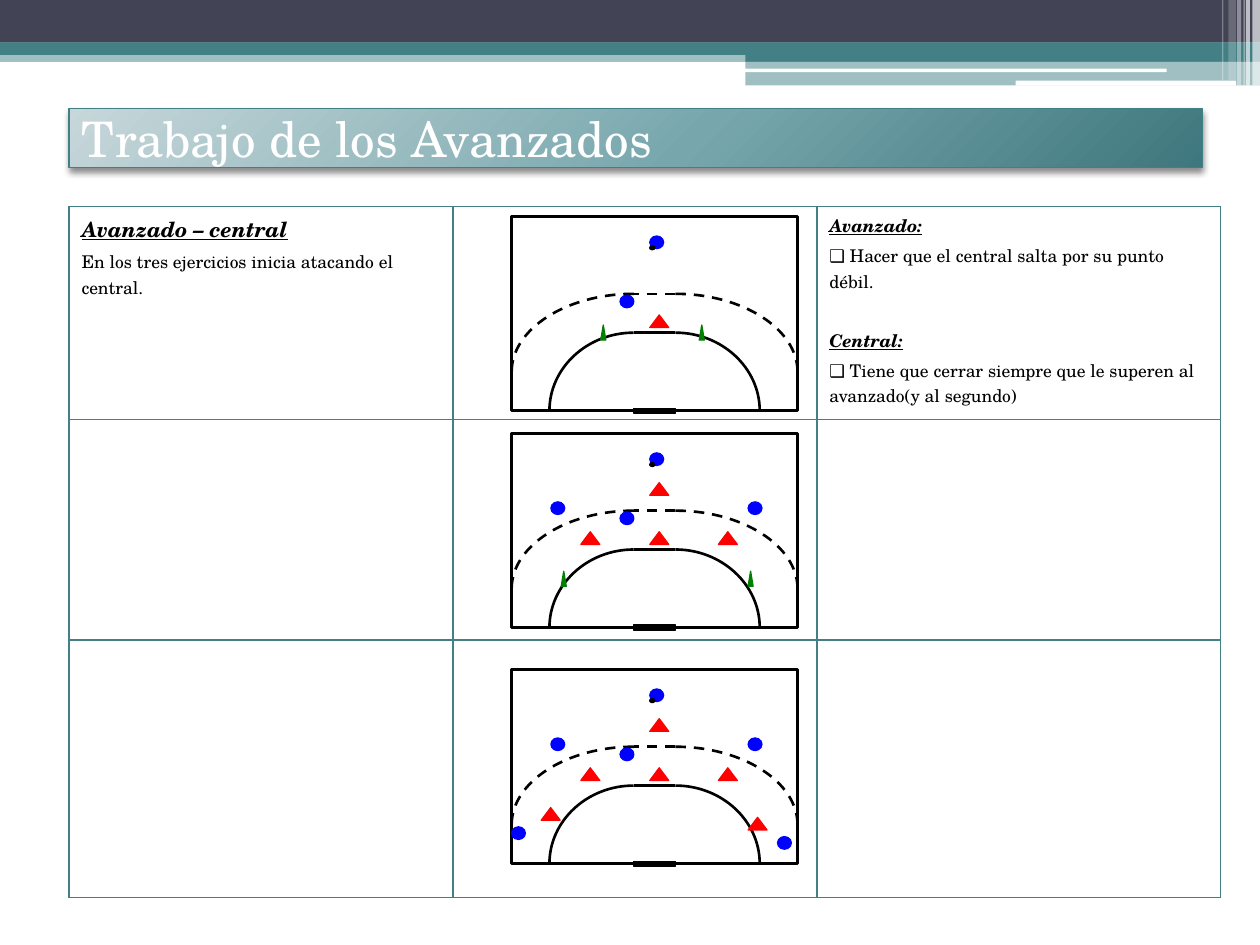
from lxml.etree import SubElement
from pptx import Presentation
from pptx.dml.color import RGBColor
from pptx.enum.dml import MSO_LINE
from pptx.enum.shapes import MSO_CONNECTOR, MSO_SHAPE
from pptx.enum.text import MSO_ANCHOR, MSO_AUTO_SIZE, PP_ALIGN
from pptx.oxml import parse_xml
from pptx.oxml.ns import nsdecls, qn
from pptx.util import Pt

FONT = "TeX Gyre Schola"
COLORS = {
    "navy": "424456", "teal": "438086", "white": "FFFFFF", "black": "000000",
    "attacker": "0000FF", "defender": "FF0000", "cone": "008000",
    "grad_light": "C7D7DA", "grad_mid": "77A7AD", "grad_dark": "3E777D",
}

# left, top, width, height, colour, opacity in percent
BANDS = [
    (0, 28.8, 720, 6.6, "teal", 50), (0, 0, 720, 24.4, "navy", 100),
    (0, 24.2, 720, 7.2, "teal", 100), (426, 28, 294, 7.2, "teal", 100),
    (426, 34.8, 294, 14, "teal", 50),
]
RULES = [(425.5, 39.2, 241.2, 2), (580.3, 46.1, 126, 2.9)]
STRIPES = [  # left, width, height, opacity
    (715.7, 4.3, 49, 65), (712, 2.2, 49, 65), (710.6, 0.7, 49, 60),
    (707, 2.2, 49, 40), (702, 4.3, 46, 20), (698.4, 0.7, 46, 30),
]

MARKERS = {  # preset, width, height
    "attacker": (MSO_SHAPE.OVAL, 7.9, 7.2),
    "defender": (MSO_SHAPE.ISOSCELES_TRIANGLE, 10.8, 7.2),
    "cone": (MSO_SHAPE.ISOSCELES_TRIANGLE, 2.9, 8.6),
    "black": (MSO_SHAPE.OVAL, 2.9, 2.2),  # the ball
}
COURT_LEFT, COURT_W, COURT_H = 292.3, 163.4, 111
ARC_X = (69.9, 93.7)  # where the straight part of both area lines starts and ends
AREAS = [(66.4, 48.2, None), (44.2, 69.8, MSO_LINE.DASH)]  # top, arc width, dash
ARC_H = 44.6
KAPPA = 0.55  # Bézier handle length for a quarter ellipse

# Marker positions relative to the court
BASE = {"attacker": [(79, 11.2), (62, 45)], "defender": [(79, 56.3)], "black": [(79, 16.8)]}
WINGS = {"attacker": [(22.5, 39.2), (135.2, 39.2)],
         "defender": [(79, 28.2), (118.2, 56.3), (39.6, 56.3)]}
COURTS = [  # top, marker sets
    (123.7, [BASE, {"cone": [(51, 62), (107.3, 62)]}]),
    (247.6, [BASE, WINGS, {"cone": [(28.4, 78.8), (135.2, 78.8)]}]),
    (382.5, [BASE, WINGS, {"defender": [(17, 79), (135.2, 84.6)],
                           "attacker": [(0, 90), (152, 95.6)]}]),
]


def rgb(name):
    return RGBColor.from_string(COLORS[name])


def add_block(shapes, preset, box, color, line=None, line_w=0.75, alpha=100):
    sp = shapes.add_shape(preset, *map(Pt, box))
    sp.shadow.inherit = False
    sp.fill.solid()
    sp.fill.fore_color.rgb = rgb(color)
    if alpha < 100:
        clr = sp.fill._xPr.find(qn("a:solidFill"))[0]
        SubElement(clr, qn("a:alpha"), val=str(alpha * 1000))
    if line:
        set_line(sp, line, line_w)
    else:
        sp.line.fill.background()


def set_line(sp, color, width, dash=None):
    sp.line.color.rgb = rgb(color)
    sp.line.width = Pt(width)
    if dash:
        sp.line.dash_style = dash


def add_header(s):
    for *box, color, alpha in BANDS:
        add_block(s.shapes, MSO_SHAPE.RECTANGLE, box, color, alpha=alpha)
    for box in RULES:
        add_block(s.shapes, MSO_SHAPE.ROUNDED_RECTANGLE, box, "white")
    for x, w, h, alpha in STRIPES:
        add_block(s.shapes, MSO_SHAPE.RECTANGLE, (x, 0, w, h), "white", alpha=alpha)


def format_run(r, size, color="black", strong=False):
    r.font.name, r.font.size, r.font.color.rgb = FONT, Pt(size), rgb(color)
    r.font.bold = r.font.italic = r.font.underline = strong


def set_title(s, text):
    sp = s.shapes.title
    sp.left, sp.top, sp.width, sp.height = map(Pt, (39.4, 61.9, 647.6, 33.8))
    set_line(sp, "teal", 0.75)
    stops = "".join(
        f'<a:gs pos="{pos * 1000}"><a:srgbClr val="{COLORS[c]}"/></a:gs>'
        for pos, c in ((0, "grad_light"), (55, "grad_mid"), (100, "grad_dark")))
    sp.line._ln.addprevious(parse_xml(
        f'<a:gradFill {nsdecls("a")}><a:gsLst>{stops}</a:gsLst><a:path path="circle">'
        '<a:fillToRect l="-40000" t="-90000" r="140000" b="190000"/></a:path></a:gradFill>'))
    sp.line._ln.addnext(parse_xml(
        f'<a:effectLst {nsdecls("a")}><a:outerShdw blurRad="{Pt(4)}" dist="{Pt(2)}" '
        f'dir="5400000"><a:srgbClr val="{COLORS["black"]}"><a:alpha val="45000"/>'
        '</a:srgbClr></a:outerShdw></a:effectLst>'))
    tf = sp.text_frame
    tf.text = text
    tf.auto_size = MSO_AUTO_SIZE.NONE
    tf.vertical_anchor = MSO_ANCHOR.MIDDLE
    p = tf.paragraphs[0]
    p.alignment = PP_ALIGN.LEFT
    format_run(p.runs[0], 28, "white")


def fill_cell(cell, items):
    """Write (text, size, is_heading, bullet, space before) items as paragraphs."""
    tf = cell.text_frame
    for i, (text, size, heading, bullet, space) in enumerate(items):
        p = tf.paragraphs[0] if i == 0 else tf.add_paragraph()
        p.text = text
        p.space_before = Pt(space)
        format_run(p.runs[0], size, strong=heading)
        if bullet:
            pPr = p._p.get_or_add_pPr()
            pPr.set("marL", "0")
            pPr.set("indent", "0")
            SubElement(pPr, qn("a:buFont"), typeface=FONT)
            SubElement(pPr, qn("a:buChar"), char=bullet)


def add_borders(cell):
    tcPr = cell._tc.get_or_add_tcPr()
    for side in ("lnL", "lnR", "lnT", "lnB"):
        tcPr.append(parse_xml(
            f'<a:{side} {nsdecls("a")} w="{Pt(1)}"><a:solidFill>'
            f'<a:srgbClr val="{COLORS["teal"]}"/></a:solidFill></a:{side}>'))


def add_exercise_table(s):
    cols, rows = (219.4, 208, 230.6), (121.7, 126, 147.1)
    tb = s.shapes.add_table(len(rows), len(cols), *map(Pt, (39.4, 118, sum(cols), sum(rows)))).table
    tb.first_row = tb.horz_banding = False
    for col, w in zip(tb.columns, cols):
        col.width = Pt(w)
    for row, h in zip(tb.rows, rows):
        row.height = Pt(h)
    for cell in tb.iter_cells():
        add_borders(cell)
        cell.fill.background()
    fill_cell(tb.cell(0, 0), [
        ("Avanzado – central", 12, True, None, 2.4),
        ("En los tres ejercicios inicia atacando el central.", 10, False, None, 2.4)])
    fill_cell(tb.cell(0, 2), [
        ("Avanzado:", 10, True, None, 2.4),
        (" Hacer que el central salta por su punto débil.", 10, False, "❑", 2),
        ("Central:", 10, True, None, 18.7),
        (" Tiene que cerrar siempre que le superen al avanzado(y al segundo)",
         10, False, "❑", 2)])


def add_arc(shapes, x, y, rx, dash):
    """Draw a quarter ellipse from its top (x, y) outwards; a negative rx goes left."""
    builder = shapes.build_freeform(Pt(x), Pt(y))
    builder.add_line_segments([(Pt(x + rx), Pt(y + ARC_H))], close=False)
    sp = builder.convert_to_shape()
    sp.shadow.inherit = False
    sp.fill.background()
    set_line(sp, "black", 1.5, dash)
    start, end = sp._element.spPr.findall(".//" + qn("a:pt"))
    x0, x1, h = int(start.get("x")), int(end.get("x")), int(end.get("y"))
    segment = end.getparent()
    curve = parse_xml(f'<a:cubicBezTo {nsdecls("a")}/>')
    for px, py in ((x0 + KAPPA * (x1 - x0), 0), (x1, (1 - KAPPA) * h), (x1, h)):
        SubElement(curve, qn("a:pt"), x=str(round(px)), y=str(round(py)))
    segment.getparent().replace(segment, curve)


def add_line(shapes, x1, x2, y, dash):
    ln = shapes.add_connector(MSO_CONNECTOR.STRAIGHT, *map(Pt, (x1, y, x2, y)))
    set_line(ln, "black", 1.5, dash)
    SubElement(ln._element.spPr, qn("a:effectLst"))


def add_court(s, top, marker_sets):
    shapes = s.shapes.add_group_shape().shapes
    add_block(shapes, MSO_SHAPE.RECTANGLE, (COURT_LEFT, top, COURT_W, COURT_H),
              "white", "black", 2)
    x1, x2 = (COURT_LEFT + x for x in ARC_X)
    for dy, rx, dash in AREAS:
        add_arc(shapes, x2, top + dy, rx, dash)
        add_arc(shapes, x1, top + dy, -rx, dash)
        add_line(shapes, x2, x1, top + dy, dash)
    add_block(shapes, MSO_SHAPE.RECTANGLE, (x1, top + 109.6, x2 - x1, 2.8), "black", "black")
    for markers in marker_sets:
        for kind, places in markers.items():
            preset, w, h = MARKERS[kind]
            for x, y in places:
                add_block(shapes, preset, (COURT_LEFT + x, top + y, w, h), kind, kind)


def main():
    prs = Presentation()
    prs.slide_width, prs.slide_height = Pt(720), Pt(540)
    s = prs.slides.add_slide(prs.slide_layouts[5])
    add_header(s)
    set_title(s, "Trabajo de los Avanzados")
    add_exercise_table(s)
    for top, marker_sets in COURTS:
        add_court(s, top, marker_sets)
    prs.save("out.pptx")


if __name__ == "__main__":
    main()
